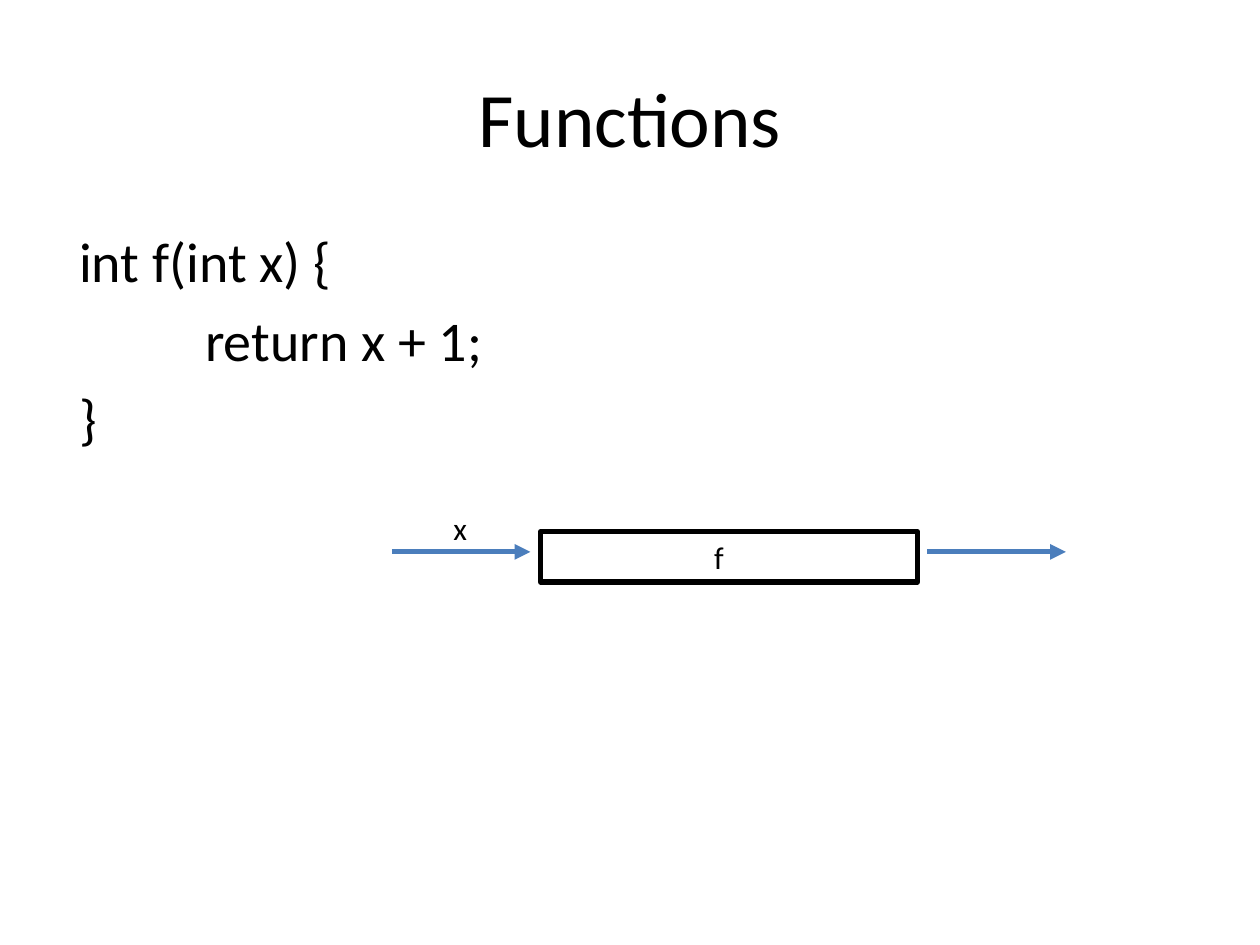
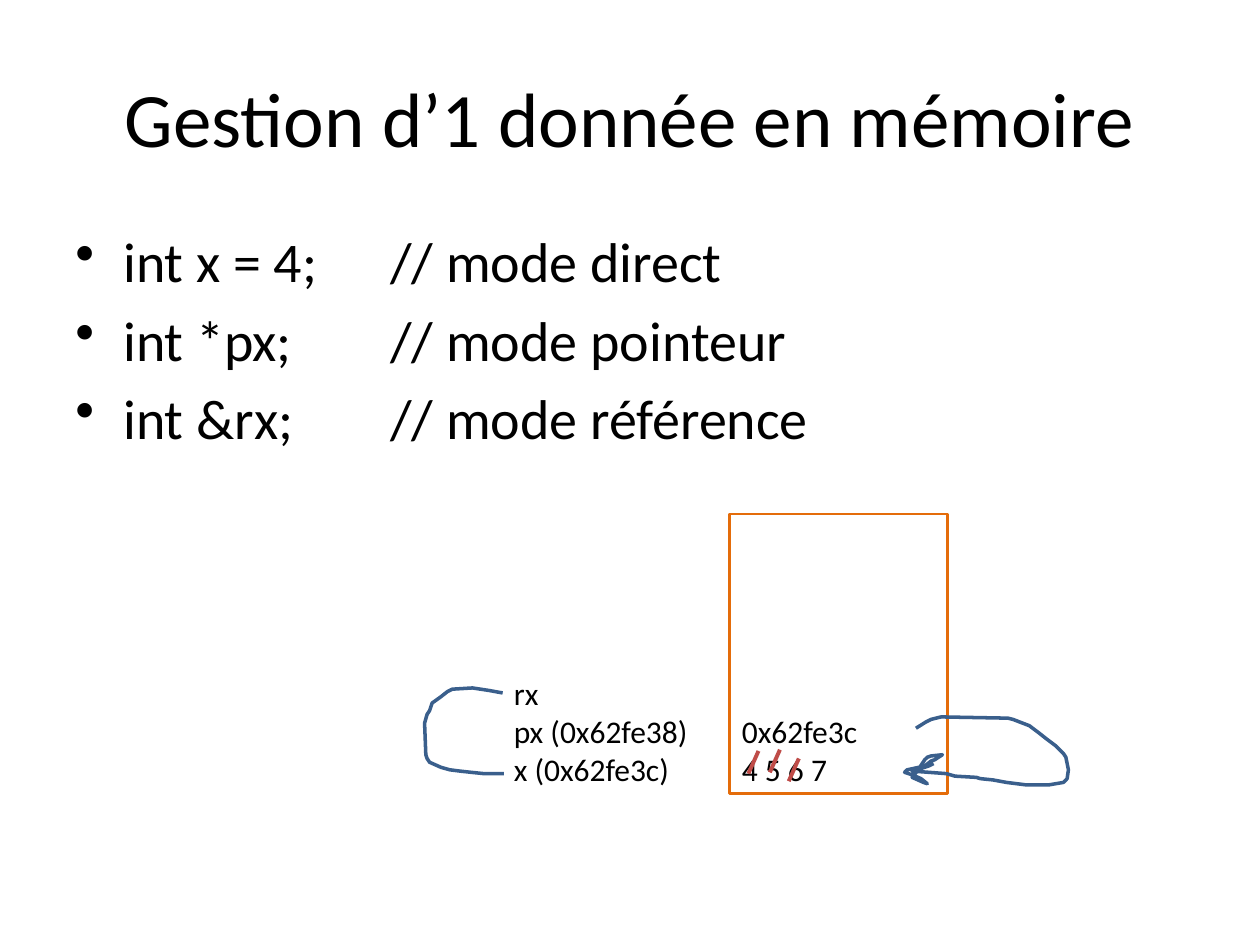
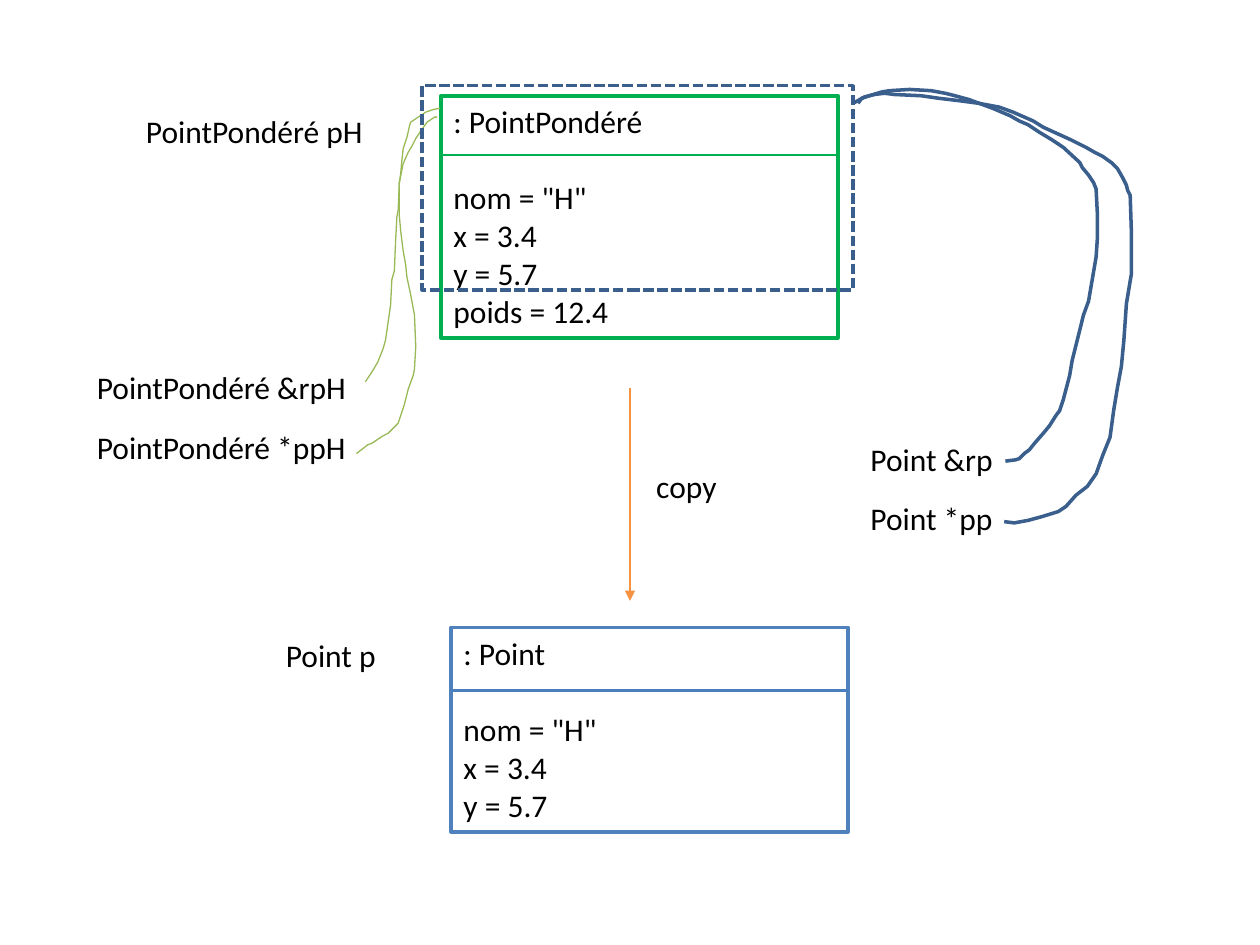
from lxml import etree
from pptx import Presentation
from pptx import util as u
from pptx.dml.color import RGBColor
from pptx.enum import dml, shapes, text as t
from pptx.oxml.ns import qn

PX = 9144
FONT = "Calibri"
BLACK = RGBColor(0x00, 0x00, 0x00)
BLUE = RGBColor(0x4B, 0x7E, 0xBC)
FRAME_BLUE = RGBColor(0x4F, 0x81, 0xBD)
INK = RGBColor(0x3A, 0x5F, 0x8C)
RED = RGBColor(0xBF, 0x4C, 0x48)
ORANGE = RGBColor(0xE4, 0x6C, 0x0A)
LIGHT_ORANGE = RGBColor(0xF6, 0x92, 0x40)
GREEN = RGBColor(0x00, 0xB0, 0x50)
LIGHT_GREEN = RGBColor(0x98, 0xB9, 0x55)

RX_TO_X = [
    (399, 550), (388, 548), (375, 546), (359, 547), (355, 549), (350, 553),
    (343, 558), (341, 564), (339, 567), (337, 574), (338, 599), (339, 602),
    (341, 605), (350, 609), (357, 611), (365, 612), (374, 613), (384, 614),
    (400, 614)]
PX_TO_X = [
    (727, 578), (735, 573), (739, 571), (747, 569), (800, 570), (804, 571),
    (817, 576), (825, 582), (830, 586), (838, 592), (844, 598), (846, 601),
    (848, 611), (847, 618), (844, 621), (832, 623), (815, 623), (799, 621),
    (788, 619), (778, 618), (775, 617), (758, 616), (751, 614), (724, 612),
    (730, 610), (728, 612), (724, 617), (733, 621), (736, 622), (731, 618),
    (724, 615), (718, 613), (720, 611), (734, 608), (739, 604), (742, 603),
    (748, 599), (739, 600), (736, 601), (734, 603), (730, 609), (731, 610),
    (737, 608), (741, 606)]
RPH_TO_OBJECT = [
    (290, 303), (296, 294), (300, 287), (304, 277), (306, 270), (308, 256),
    (310, 242), (311, 222), (313, 215), (314, 191), (315, 172), (316, 167),
    (317, 145), (318, 138), (319, 127), (320, 118), (323, 109), (325, 100),
    (326, 97), (332, 93), (338, 89), (344, 87), (349, 86)]
PPH_TO_OBJECT = [
    (283, 360), (292, 353), (295, 352), (304, 346), (308, 344), (316, 336),
    (321, 321), (324, 309), (328, 298), (329, 293), (330, 275), (329, 250),
    (326, 234), (323, 220), (322, 210), (320, 199), (318, 183), (317, 171),
    (317, 145), (318, 140), (320, 130), (324, 121), (327, 116), (330, 110),
    (334, 104), (339, 97), (345, 93), (347, 93)]
RP_TO_OBJECT = [
    (798, 366), (806, 365), (809, 364), (813, 360), (817, 357), (821, 352),
    (828, 344), (833, 338), (838, 330), (841, 326), (844, 317), (849, 298),
    (851, 286), (856, 266), (860, 250), (864, 239), (870, 204), (871, 189),
    (871, 170), (870, 150), (868, 145), (864, 139), (859, 133), (857, 129),
    (844, 117), (835, 111), (825, 105), (816, 99), (809, 96), (802, 92),
    (788, 86), (769, 79), (758, 76), (750, 74), (739, 72), (722, 71),
    (706, 72), (700, 73), (690, 76), (684, 78), (681, 82)]
PP_TO_OBJECT = [
    (797, 414), (805, 415), (816, 413), (827, 410), (840, 406), (846, 402),
    (854, 393), (863, 386), (870, 376), (875, 362), (881, 347), (884, 325),
    (887, 307), (890, 291), (892, 270), (894, 241), (896, 229), (898, 217),
    (898, 186), (897, 155), (895, 151), (894, 147), (891, 141), (887, 134),
    (882, 129), (875, 124), (869, 121), (862, 117), (850, 111), (839, 106),
    (828, 101), (820, 96), (804, 89), (793, 85), (777, 82), (762, 80),
    (745, 78), (731, 76), (710, 75), (702, 74), (694, 75), (686, 77),
    (677, 82)]


def write(tf, lines, size=18, align=t.PP_ALIGN.LEFT, anchor=t.MSO_ANCHOR.TOP,
          before=0, gaps=None, indents=None, bullet=None):
    tf.word_wrap = True
    tf.vertical_anchor = anchor
    for i, line in enumerate(lines):
        p = tf.paragraphs[0] if i == 0 else tf.add_paragraph()
        p.alignment = align
        p.space_before = u.Pt((gaps or {}).get(i, before))
        pPr = p._p.get_or_add_pPr()
        if indents and i in indents:
            pPr.set("marL", str(indents[i] * PX))
        if bullet:
            pPr.set("marL", str(38 * PX))
            pPr.set("indent", str(-38 * PX))
            etree.SubElement(pPr, qn("a:buChar"), char=bullet)
        r = p.add_run()
        r.text = line
        r.font.name = FONT
        r.font.size = u.Pt(size)
        r.font.color.rgb = BLACK


class Deck:
    def __init__(self):
        self.prs = Presentation()
        self.prs.slide_width = 1000 * PX
        self.prs.slide_height = 750 * PX
        self.s = None

    def slide(self, title=None):
        self.s = self.prs.slides.add_slide(self.prs.slide_layouts[6])
        if title:
            self.text(50, 30, 900, 125, [title], size=44,
                      align=t.PP_ALIGN.CENTER, anchor=t.MSO_ANCHOR.MIDDLE)

    def text(self, x, y, w, h, lines, pad_bottom=5, **fmt):
        sp = self.s.shapes.add_textbox(x * PX, y * PX, w * PX, h * PX)
        sp.text_frame.margin_bottom = pad_bottom * PX
        write(sp.text_frame, lines, **fmt)

    def body(self, x, y, w, h, lines, **fmt):
        self.text(x, y, w, h, lines, size=32, before=6.4, **fmt)

    def stroke(self, sp, color, width):
        sp.line.color.rgb = color
        sp.line.width = u.Pt(width)

    def frame(self, x, y, w, h, color, width, lines=(), dash=None, **fmt):
        sp = self.s.shapes.add_shape(
            shapes.MSO_SHAPE.RECTANGLE, x * PX, y * PX, w * PX, h * PX)
        sp.shadow.inherit = False
        sp.fill.background()
        self.stroke(sp, color, width)
        if dash:
            sp.line.dash_style = dash
        write(sp.text_frame, lines, **fmt)

    def line(self, x1, y1, x2, y2, color, width, arrow=False):
        sp = self.s.shapes.add_connector(
            shapes.MSO_CONNECTOR.STRAIGHT, x1 * PX, y1 * PX, x2 * PX, y2 * PX)
        self.stroke(sp, color, width)
        spPr = sp._element.spPr
        if arrow:
            etree.SubElement(spPr.find(qn("a:ln")), qn("a:tailEnd"), type="triangle")
        etree.SubElement(spPr, qn("a:effectLst"))

    def scribble(self, points, color, width):
        fb = self.s.shapes.build_freeform(*points[0], scale=PX)
        fb.add_line_segments(points[1:], close=False)
        sp = fb.convert_to_shape()
        sp.shadow.inherit = False
        sp.fill.background()
        self.stroke(sp, color, width)

    def instance(self, x, y, h, rule_y, color, rule_color, name, fields):
        w = 315
        self.frame(x, y, w, h, color, 2.25, [name] + fields, gaps={1: 22})
        self.line(x, rule_y, x + w, rule_y, rule_color, 1.5)


def functions(d):
    d.slide("Functions")
    d.body(53, 175, 900, 495, ["int f(int x) {", "return x + 1;", "}"],
           indents={1: 100})
    d.frame(429, 422, 299, 40, BLACK, 3, ["f"], indents={0: 128})
    for x in (311, 736):
        d.line(x, 438, x + 110, 438, BLUE, 3, arrow=True)
    d.text(350, 399, 55, 40, ["x"])


def memory(d):
    d.slide("Gestion d’1 donnée en mémoire")
    d.body(50, 175, 900, 200,
           ["int x = 4;\t\t// mode direct", "int *px;\t\t// mode pointeur",
            "int &rx;\t\t// mode référence"], bullet="•")
    d.frame(579, 408, 173, 222, ORANGE, 1.5, ["0x62fe3c", "4 5 6 7"],
            anchor=t.MSO_ANCHOR.BOTTOM)
    d.text(398, 406, 173, 252, ["rx", "px (0x62fe38)", "x (0x62fe3c)"],
           pad_bottom=33, anchor=t.MSO_ANCHOR.BOTTOM)
    for points in (RX_TO_X, PX_TO_X):
        d.scribble(points, INK, 2)
    for x, y in ((602, 596), (619, 595), (634, 602)):
        d.line(x, y, x - 8, y + 18, RED, 2.25)


def slicing(d):
    d.slide()
    fields = ['nom = "H"', "x = 3.4", "y = 5.7"]
    d.instance(350, 76, 192, 123, GREEN, GREEN, ": PointPondéré",
               fields + ["poids = 12.4"])
    d.text(106, 84, 197, 40, ["PointPondéré pH"])
    for x, y, label in ((67, 287, "PointPondéré &rpH"),
                        (67, 335, "PointPondéré *ppH"),
                        (681, 344, "Point &rp"), (681, 391, "Point *pp"),
                        (217, 500, "Point p")):
        d.text(x, y, 236, 40, [label])
    for points in (RPH_TO_OBJECT, PPH_TO_OBJECT):
        d.scribble(points, LIGHT_GREEN, 0.75)
    for points in (RP_TO_OBJECT, PP_TO_OBJECT):
        d.scribble(points, INK, 2)
    d.frame(335, 68, 342, 162, INK, 2, dash=dml.MSO_LINE.SQUARE_DOT)
    d.instance(358, 498, 162, 548, FRAME_BLUE, BLUE, ": Point", fields)
    d.line(500, 308, 500, 477, LIGHT_ORANGE, 0.75, arrow=True)
    d.text(511, 366, 115, 40, ["copy"])


def main():
    d = Deck()
    for build in (functions, memory, slicing):
        build(d)
    d.prs.save("out.pptx")


if __name__ == "__main__":
    main()
